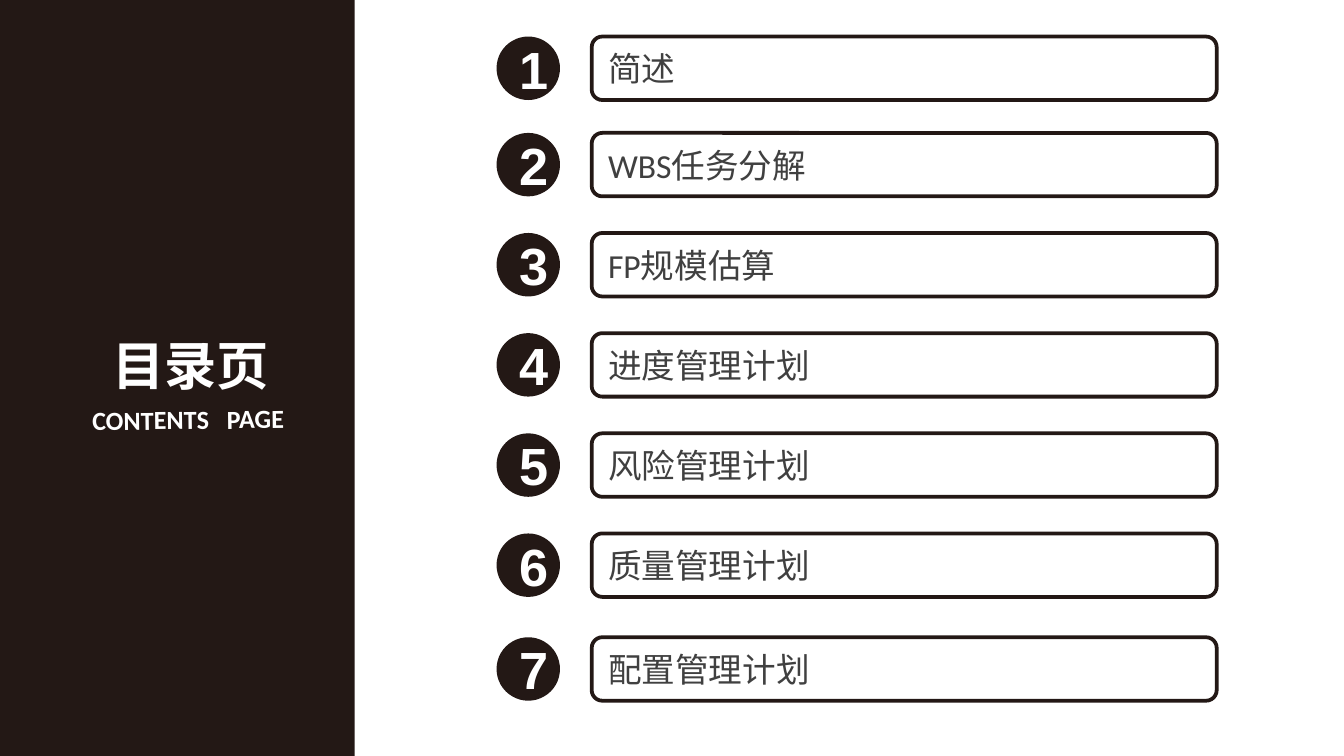
from pptx import Presentation
from pptx.dml.color import RGBColor
from pptx.enum.shapes import MSO_SHAPE
from pptx.enum.text import MSO_ANCHOR, MSO_AUTO_SIZE, PP_ALIGN
from pptx.oxml.ns import qn
from pptx.util import Pt
from lxml import etree

THEME = {
    "dark": RGBColor(0x23, 0x18, 0x15),
    "title": dict(name="Noto Sans CJK SC", size=Pt(28), bold=True, color="FFFFFF"),
    "subtitle": dict(name="Calibri", size=Pt(14), bold=True, color="FFFFFF"),
    "number": dict(name="Arial", size=Pt(28), bold=True, color="FFFFFF"),
    "item": dict(name="Calibri", size=Pt(18), bold=False, color="404040"),
}


def add_shape(kind, left, top, width, height, filled=True):
    sp = s.shapes.add_shape(kind, Pt(left), Pt(top), Pt(width), Pt(height))
    sp.shadow.inherit = False
    if filled:
        sp.fill.solid()
        sp.fill.fore_color.rgb = THEME["dark"]
        sp.line.fill.background()
    else:
        sp.fill.background()
        sp.line.color.rgb = THEME["dark"]
        sp.line.width = Pt(2)
    return sp


def write(sp, text, style, align, anchor=MSO_ANCHOR.MIDDLE):
    tf = sp.text_frame
    tf.vertical_anchor = anchor
    p = tf.paragraphs[0]
    p.alignment = align
    r = p.add_run()
    r.text = text
    for name, value in THEME[style].items():
        if name == "color":
            r.font.color.rgb = RGBColor.from_string(value)
        else:
            setattr(r.font, name, value)
    return r


prs = Presentation()
prs.slide_width, prs.slide_height = Pt(720), Pt(405)
s = prs.slides.add_slide(prs.slide_layouts[5])

# Side panel, placed behind the title
panel = add_shape(MSO_SHAPE.RECTANGLE, 0, 0, 190, 405)
s.shapes.element.insert(2, panel.element)

# Title
title = s.shapes.title
title.left, title.top, title.width, title.height = Pt(52.5), Pt(175), Pt(99.5), Pt(41)
r = write(title, "目录页", "title", PP_ALIGN.CENTER, MSO_ANCHOR.TOP)
etree.SubElement(r.font._element, qn("a:ea"), typeface=THEME["title"]["name"])
title.text_frame.word_wrap = False
title.text_frame.auto_size = MSO_AUTO_SIZE.SHAPE_TO_FIT_TEXT

# Subtitle, with letter spacing widening the gap between its words
subtitle = s.shapes.add_textbox(Pt(12.5), Pt(210), Pt(176.5), Pt(29))
subtitle.rotation = 359.3
subtitle.text_frame.word_wrap = True
for text in ("CONTENTS", " ", "PAGE"):
    r = write(subtitle, text, "subtitle", PP_ALIGN.CENTER)
    if text == " ":
        r.font._element.set("spc", "630")

# Contents list: evenly spaced rows between a first and a last one
items = ["简述", "WBS任务分解", "FP规模估算", "进度管理计划",
         "风险管理计划", "质量管理计划", "配置管理计划"]
tops = [19.6] + [71.2 + 53.65 * i for i in range(5)] + [341.4]
for number, (text, top) in enumerate(zip(items, tops), start=1):
    circle = add_shape(MSO_SHAPE.OVAL, 266, top, 34, 34)
    write(circle, str(number), "number", PP_ALIGN.CENTER)
    box = add_shape(MSO_SHAPE.ROUNDED_RECTANGLE, 317, top, 334.8, 34, filled=False)
    write(box, text, "item", PP_ALIGN.LEFT)

prs.save("out.pptx")
